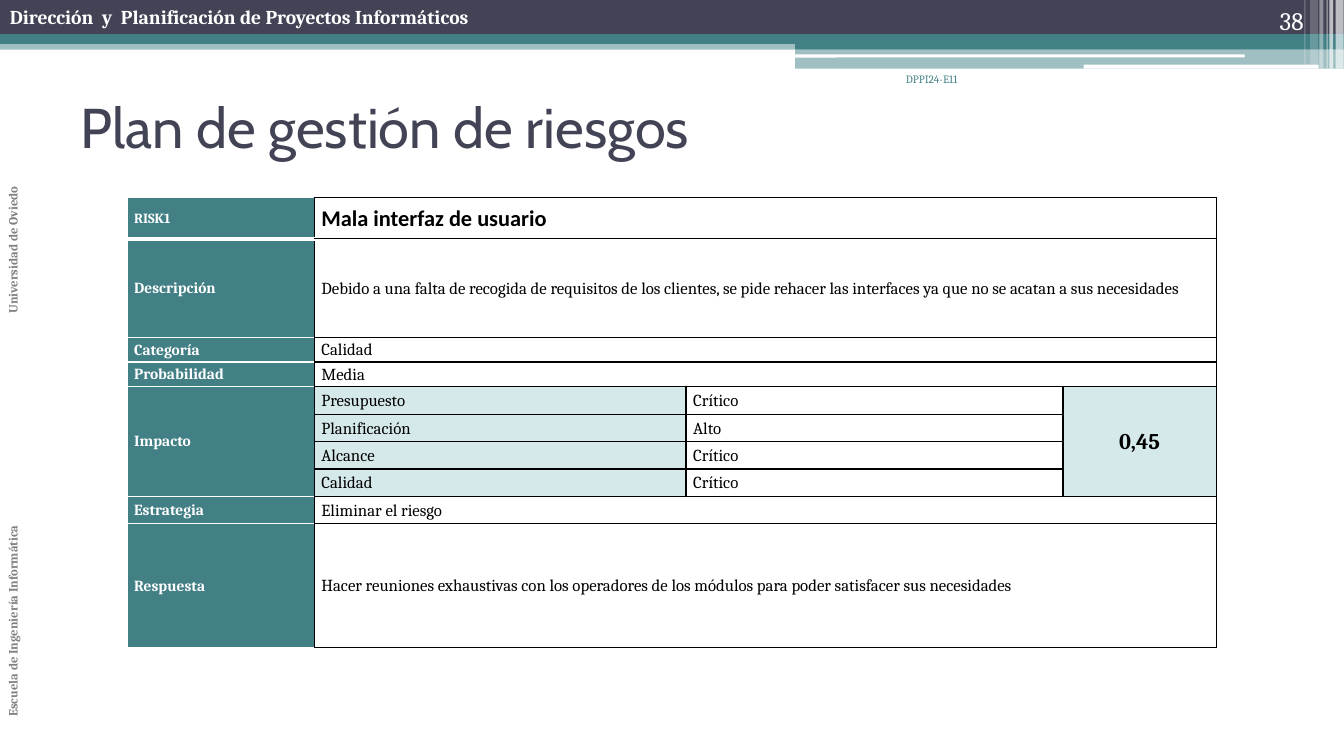
from lxml import etree
from pptx import Presentation
from pptx.dml.color import RGBColor
from pptx.enum.shapes import MSO_SHAPE as Shape
from pptx.enum.text import MSO_ANCHOR as Anchor, MSO_AUTO_SIZE as AutoSize, PP_ALIGN as Align
from pptx.oxml.ns import qn
from pptx.util import Cm, Pt

COLORS = {
    "navy": "424456",
    "teal": "438086",
    "mint": "D6E9EA",
    "white": "FFFFFF",
    "black": "000000",
    "gray": "808080",
}
SERIF = "Cambria"
WIDTH, HEIGHT = 33.87, 19.05

# Row heights, then label and value of each row of the risk sheet
ROW_HEIGHTS = [1.04, 2.49, 0.61, 0.61, 0.71, 0.69, 0.69, 0.69, 0.69, 3.12]
COLUMN_WIDTHS = [4.72, 9.37, 9.5, 3.86]
FIELDS = {
    0: ("RISK1", "Mala interfaz de usuario"),
    1: ("Descripción", "Debido a una falta de recogida de requisitos de los clientes, "
        "se pide rehacer las interfaces ya que no se acatan a sus necesidades"),
    2: ("Categoría", "Calidad"),
    3: ("Probabilidad", "Media"),
    8: ("Estrategia", "Eliminar el riesgo"),
    9: ("Respuesta", "Hacer reuniones exhaustivas con los operadores de los módulos "
        "para poder satisfacer sus necesidades"),
}
JUSTIFIED_ROWS = (0, 1, 9)
IMPACT_ROW = 4
IMPACTS = [("Presupuesto", "Crítico"), ("Planificación", "Alto"),
           ("Alcance", "Crítico"), ("Calidad", "Crítico")]


def rgb(name):
    return RGBColor.from_string(COLORS[name])


def style_text(frame, text, size, color, font=SERIF, bold=False, align=Align.LEFT):
    frame.text = text
    paragraph = frame.paragraphs[0]
    paragraph.alignment = align
    for run in paragraph.runs:
        run.font.name = font
        run.font.size = Pt(size)
        run.font.bold = bold
        run.font.color.rgb = rgb(color)
    return paragraph


def add_bar(slide, box, color, opacity=100, kind=Shape.RECTANGLE):
    bar = slide.shapes.add_shape(kind, *map(Cm, box))
    bar.shadow.inherit = False
    bar.line.fill.background()
    bar.fill.solid()
    bar.fill.fore_color.rgb = rgb(color)
    if opacity < 100:
        tint = bar.fill._xPr.find(qn("a:solidFill"))[0]
        etree.SubElement(tint, qn("a:alpha"), val=str(opacity * 1000))


def add_label(slide, box, text, size, color, anchor=Anchor.TOP, **style):
    frame = slide.shapes.add_textbox(*map(Cm, box)).text_frame
    frame.word_wrap = True
    frame.vertical_anchor = anchor
    style_text(frame, text, size, color, **style)
    return frame


def add_header_band(slide, left, top, width):
    split = left + 20.04
    right = left + width
    # Full-width bars and the stepped bars on the right
    add_bar(slide, (left, top + 1.02, width, 0.23), "teal", 50)
    add_bar(slide, (left, top, width, 0.86), "navy")
    add_bar(slide, (left, top + 0.86, width, 0.25), "teal")
    add_bar(slide, (split, top + 0.99, right - split, 0.25), "teal")
    add_bar(slide, (split, top + 1.22, right - split, 0.51), "teal", 50)
    # White grooves
    for x, y, w, h in [(20.02, 1.37, 11.35, 0.08), (27.31, 1.63, 5.92, 0.1)]:
        add_bar(slide, (left + x, top + y, w, h), "white", kind=Shape.ROUNDED_RECTANGLE)
    # Translucent stripes: distance from the right edge, width, height, opacity
    stripes = [(0.21, 0.2, 1.73, 65), (0.37, 0.1, 1.73, 65), (0.44, 0.03, 1.73, 60),
               (0.62, 0.1, 1.73, 40), (0.85, 0.2, 1.63, 20), (1.0, 0.03, 1.63, 30)]
    for offset, w, h, opacity in stripes:
        add_bar(slide, (right - offset, top, w, h), "white", opacity)
    # Course name, slide code and slide number
    add_label(slide, (left, top, 20.93, 0.86),
              "Dirección  y  Planificación de Proyectos Informáticos", 14, "white", bold=True)
    add_label(slide, (left + 19.48, top + 1.7, 4.9, 1.27), "DPPI24-E11", 8, "teal",
              align=Align.RIGHT)
    add_label(slide, (left + 30.28, top, 2.82, 1.02), "38", 18, "white", Anchor.BOTTOM,
              align=Align.RIGHT)


def add_side_label(slide, box):
    frame = add_label(slide, box, "Escuela de Ingeniería Informática\tUniversidad de Oviedo",
                      9, "gray", bold=True)
    frame._txBody.bodyPr.set("vert", "vert270")
    properties = frame.paragraphs[0]._p.get_or_add_pPr()
    tabs = etree.SubElement(properties, qn("a:tabLst"))
    etree.SubElement(tabs, qn("a:tab"), pos=str(Cm(10.16)), algn="l")


def place_title(slide, box):
    title = slide.shapes.title
    title.left, title.top, title.width, title.height = map(Cm, box)
    frame = title.text_frame
    frame.word_wrap = True
    frame.auto_size = AutoSize.NONE
    frame.vertical_anchor = Anchor.MIDDLE
    style_text(frame, "Plan de gestión de riesgos", 40, "navy", font="Cabin")


def set_borders(cell, borders):
    properties = cell._tc.get_or_add_tcPr()
    for side in "LRTB":
        color, points = borders.get(side, ("black", 1))
        line = etree.SubElement(properties, qn(f"a:ln{side}"), w=str(Pt(points)))
        fill = etree.SubElement(line, qn("a:solidFill"))
        etree.SubElement(fill, qn("a:srgbClr"), val=COLORS[color])


def fill_cell(cell, text, fill, size=12, color="black", **style):
    cell.fill.solid()
    cell.fill.fore_color.rgb = rgb(fill)
    paragraph = style_text(cell.text_frame, text, size, color, **style)
    paragraph.line_spacing = 1.07
    paragraph.space_after = Pt(8)


def add_risk_table(slide, left, top):
    frame = slide.shapes.add_table(
        len(ROW_HEIGHTS), len(COLUMN_WIDTHS), Cm(left), Cm(top),
        Cm(sum(COLUMN_WIDTHS)), Cm(sum(ROW_HEIGHTS)))
    table = frame.table
    table.first_row = table.horz_banding = False
    for column, width in zip(table.columns, COLUMN_WIDTHS):
        column.width = Cm(width)

    # Grid: white rules around the labels, black elsewhere
    for r, height in enumerate(ROW_HEIGHTS):
        table.rows[r].height = Cm(height)
        label_rules = {"L": ("white", 1), "T": ("white", 1),
                       "B": ("white", 3 if r == 0 else 1)}
        for c in range(len(COLUMN_WIDTHS)):
            cell = table.cell(r, c)
            cell.margin_left = cell.margin_right = Cm(0.18)
            cell.margin_top = cell.margin_bottom = 0
            cell.vertical_anchor = Anchor.MIDDLE
            set_borders(cell, label_rules if c == 0 else {})

    # One-line fields
    for r, (label, value) in FIELDS.items():
        fill_cell(table.cell(r, 0), label, "teal", 10 if r == 0 else 11, "white", bold=True)
        table.cell(r, 1).merge(table.cell(r, 3))
        heading = {"size": 16, "font": "Calibri", "bold": True} if r == 0 else {}
        align = Align.JUSTIFY if r in JUSTIFIED_ROWS else Align.LEFT
        fill_cell(table.cell(r, 1), value, "white", align=align, **heading)

    # Impact block with its overall score
    last = IMPACT_ROW + len(IMPACTS) - 1
    for c in (0, 3):
        table.cell(IMPACT_ROW, c).merge(table.cell(last, c))
    fill_cell(table.cell(IMPACT_ROW, 0), "Impacto", "teal", 11, "white", bold=True)
    fill_cell(table.cell(IMPACT_ROW, 3), "0,45", "mint", 16, bold=True, align=Align.CENTER)
    for r, (area, level) in enumerate(IMPACTS, IMPACT_ROW):
        fill_cell(table.cell(r, 1), area, "mint")
        fill_cell(table.cell(r, 2), level, "white")


def main():
    deck = Presentation()
    deck.slide_width, deck.slide_height = Cm(WIDTH), Cm(HEIGHT)
    slide = deck.slides.add_slide(deck.slide_layouts[5])
    add_header_band(slide, 0, 0, WIDTH)
    add_side_label(slide, (0, 1.37, 0.89, 16.94))
    place_title(slide, (1.78, 1.7, 30.48, 2.97))
    add_risk_table(slide, 3.2, 4.98)
    deck.save("out.pptx")


if __name__ == "__main__":
    main()
